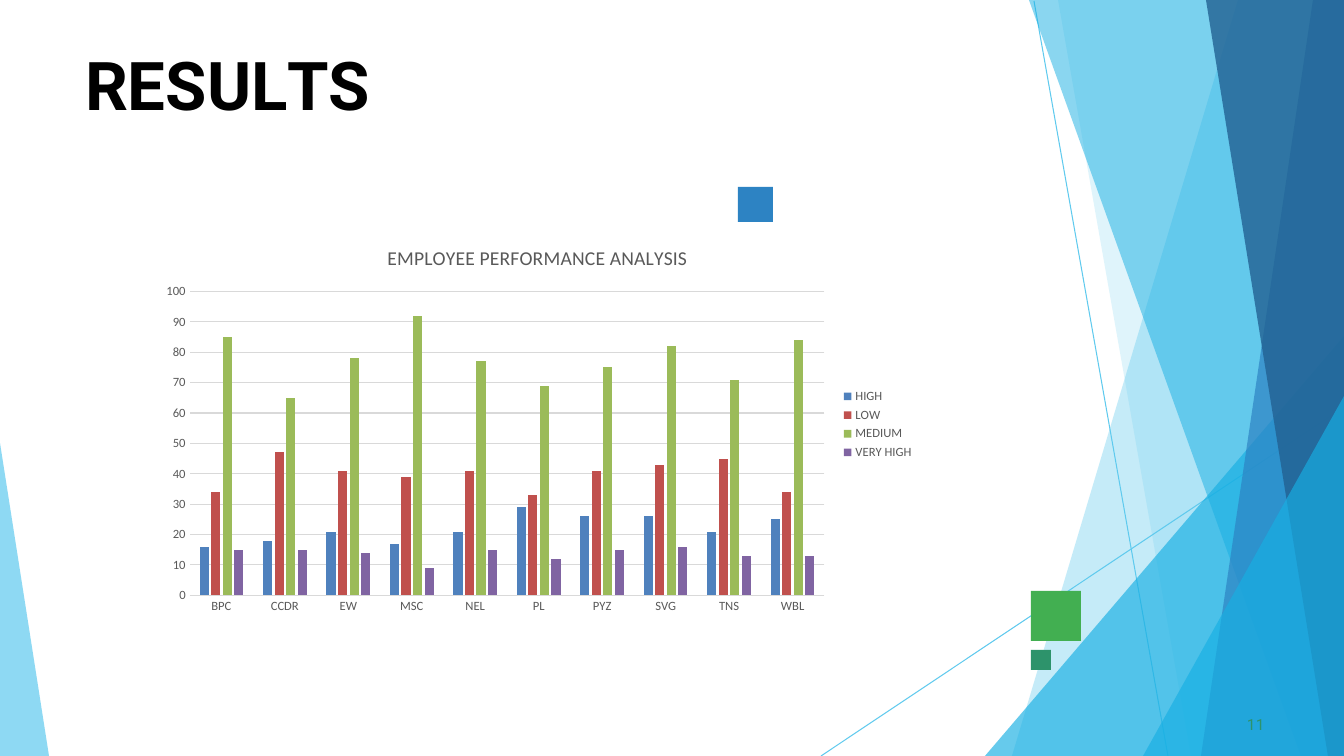
from lxml.etree import SubElement
from pptx import Presentation
from pptx.chart.data import CategoryChartData as ChartData
from pptx.dml.color import RGBColor
from pptx.enum.chart import XL_CHART_TYPE as Kind, XL_LEGEND_POSITION as Side
from pptx.enum.chart import XL_TICK_MARK as Tick
from pptx.enum.shapes import MSO_CONNECTOR as Link, MSO_SHAPE as Form
from pptx.enum.text import MSO_ANCHOR as Anchor, MSO_AUTO_SIZE as Fit, PP_ALIGN as Align
from pptx.oxml.ns import qn
from pptx.util import Emu, Pt

SCALE = 914400 / 100.8
WIDTH, HEIGHT = 1344, 756

BLACK = RGBColor(0x00, 0x00, 0x00)
GRAY = RGBColor(0x59, 0x59, 0x59)
SILVER = RGBColor(0xD9, 0xD9, 0xD9)
SKY = RGBColor(0x5F, 0xCA, 0xEE)
CYAN = RGBColor(0x17, 0xAF, 0xE3)
BLUE = RGBColor(0x2D, 0x83, 0xC3)
NAVY = RGBColor(0x22, 0x61, 0x92)
GREEN = RGBColor(0x42, 0xAF, 0x51)
TEAL = RGBColor(0x2D, 0x93, 0x6B)

RAYS = [(1034, 1, 1168, 756), (1344, 407, 821, 756)]

# Corners, colour, opacity in percent
RIGHT = (WIDTH, HEIGHT)
TOP = (WIDTH, 0)
FACETS = [
    ([TOP, (1238, 0), (1012, 756), RIGHT], SKY, 36),
    ([TOP, (1058, 0), (1191, 756), RIGHT], SKY, 20),
    ([(1344, 336), (985, 756), RIGHT], CYAN, 66),
    ([TOP, (1029, 0), (1301, 756), RIGHT], CYAN, 50),
    ([TOP, (1313, 0), (1201, 756), RIGHT], BLUE, 70),
    ([TOP, (1206, 0), (1328, 756), RIGHT], NAVY, 80),
    ([(1344, 396), (1143, 756), RIGHT], CYAN, 66),
    ([(0, 443), (0, 756), (49, 756)], SKY, 70),
]

SQUARES = [(1031, 591, 50, GREEN), (738, 187, 35, BLUE), (1031, 650, 20, TEAL)]

# Letters with their spacing in hundredths of a point
TITLE = [("R", 0), ("E", -40), ("S", 10), ("U", -30), ("L", -400), ("TS", 0)]

TEAMS = ["BPC", "CCDR", "EW", "MSC", "NEL", "PL", "PYZ", "SVG", "TNS", "WBL"]
LEVELS = [
    ("HIGH", RGBColor(0x4F, 0x81, 0xBD), [16, 18, 21, 17, 21, 29, 26, 26, 21, 25]),
    ("LOW", RGBColor(0xC0, 0x50, 0x4D), [34, 47, 41, 39, 41, 33, 41, 43, 45, 34]),
    ("MEDIUM", RGBColor(0x9B, 0xBB, 0x59), [85, 65, 78, 92, 77, 69, 75, 82, 71, 84]),
    ("VERY HIGH", RGBColor(0x80, 0x64, 0xA2), [15, 15, 14, 9, 15, 12, 15, 16, 13, 13]),
]


def px(n):
    return Emu(round(n * SCALE))


def style(font, name, size, color, bold=False):
    font.name, font.size, font.bold = name, Pt(size), bold
    font.color.rgb = color


def paint(shape, color):
    shape.shadow.inherit = False
    shape.fill.solid()
    shape.fill.fore_color.rgb = color
    shape.line.fill.background()


def add_ray(slide, x1, y1, x2, y2):
    ray = slide.shapes.add_connector(Link.STRAIGHT, px(x1), px(y1), px(x2), px(y2))
    ray.line.color.rgb = SKY
    ray.line.width = Pt(0.75)
    SubElement(ray.element.spPr, qn("a:effectLst"))


def add_facet(slide, points, color, alpha):
    pen = slide.shapes.build_freeform(*points[0], scale=SCALE)
    pen.add_line_segments(points[1:], close=True)
    facet = pen.convert_to_shape()
    paint(facet, color)
    tint = facet.element.spPr.find(".//" + qn("a:srgbClr"))
    SubElement(tint, qn("a:alpha")).set("val", str(alpha * 1000))


def add_square(slide, x, y, size, color):
    square = slide.shapes.add_shape(Form.RECTANGLE, px(x), px(y), px(size), px(size))
    paint(square, color)


def fill_text(shape, box, parts, size, color, bold, before, indent):
    """Place a text shape and write its separately spaced runs."""
    shape.left, shape.top, shape.width, shape.height = map(px, box)
    frame = shape.text_frame
    frame.margin_left = frame.margin_right = frame.margin_bottom = 0
    frame.margin_top = px(1)
    frame.word_wrap = True
    frame.auto_size = Fit.SHAPE_TO_FIT_TEXT
    frame.vertical_anchor = Anchor.TOP
    para = frame.paragraphs[0]
    para.alignment = Align.LEFT
    para.space_before = Pt(before)
    props = para._p.get_or_add_pPr()
    props.set("marL", str(px(indent)))
    props.set("indent", "0")
    for text, gap in parts:
        run = para.add_run()
        run.text = text
        style(run.font, "Roboto", size, color, bold)
        run.font._element.set("spc", str(gap))


def style_axis(axis):
    axis.major_tick_mark = axis.minor_tick_mark = Tick.NONE
    style(axis.tick_labels.font, "Calibri", 9, GRAY)


def add_bars(slide, box):
    data = ChartData()
    data.categories = TEAMS
    for name, _, values in LEVELS:
        data.add_series(name, values)
    chart = slide.shapes.add_chart(Kind.COLUMN_CLUSTERED, *map(px, box), data).chart
    style(chart.font, "Calibri", 10, BLACK)

    chart.has_title = True
    para = chart.chart_title.text_frame.paragraphs[0]
    para.text = "EMPLOYEE PERFORMANCE ANALYSIS"
    style(para.runs[0].font, "Calibri", 14, GRAY)
    chart.chart_title.include_in_layout = False

    chart.has_legend = True
    chart.legend.position = Side.RIGHT
    chart.legend.include_in_layout = False
    style(chart.legend.font, "Calibri", 9, GRAY)

    cats, vals = chart.category_axis, chart.value_axis
    style_axis(cats)
    style_axis(vals)
    vals.minimum_scale, vals.maximum_scale, vals.major_unit = 0, 100, 10
    vals.format.line.fill.background()
    vals.has_major_gridlines = True
    for line in (cats.format.line, vals.major_gridlines.format.line):
        line.color.rgb = SILVER
        line.width = Pt(0.75)

    plot = chart.plots[0]
    plot.gap_width, plot.overlap = 219, -27
    plot.vary_by_categories = False
    for bars, (_, color, _) in zip(plot.series, LEVELS):
        bars.format.fill.solid()
        bars.format.fill.fore_color.rgb = color


def main():
    deck = Presentation()
    deck.slide_width, deck.slide_height = px(WIDTH), px(HEIGHT)
    slide = deck.slides.add_slide(deck.slide_layouts[5])
    for ray in RAYS:
        add_ray(slide, *ray)
    for facet in FACETS:
        add_facet(slide, *facet)
    for square in SQUARES:
        add_square(slide, *square)
    fill_text(slide.shapes.title, (84, 42, 1177, 84), TITLE, 48, BLACK, True, 1.1, 1)
    number = slide.shapes.add_textbox(0, 0, 0, 0)
    fill_text(number, (1243, 714, 25, 21), [("11", 10)], 11, TEAL, False, 0.6, 4)
    add_bars(slide, (151, 227, 773, 395))
    deck.save("out.pptx")


if __name__ == "__main__":
    main()
